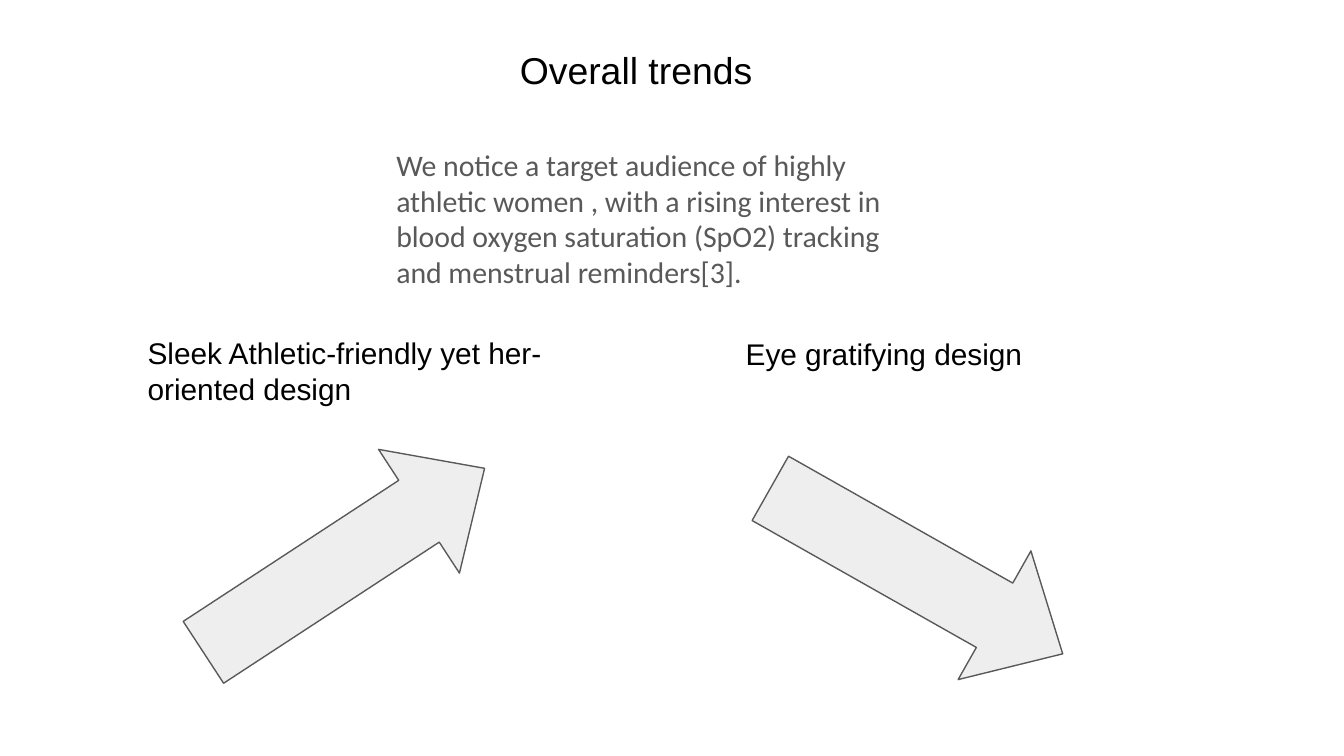
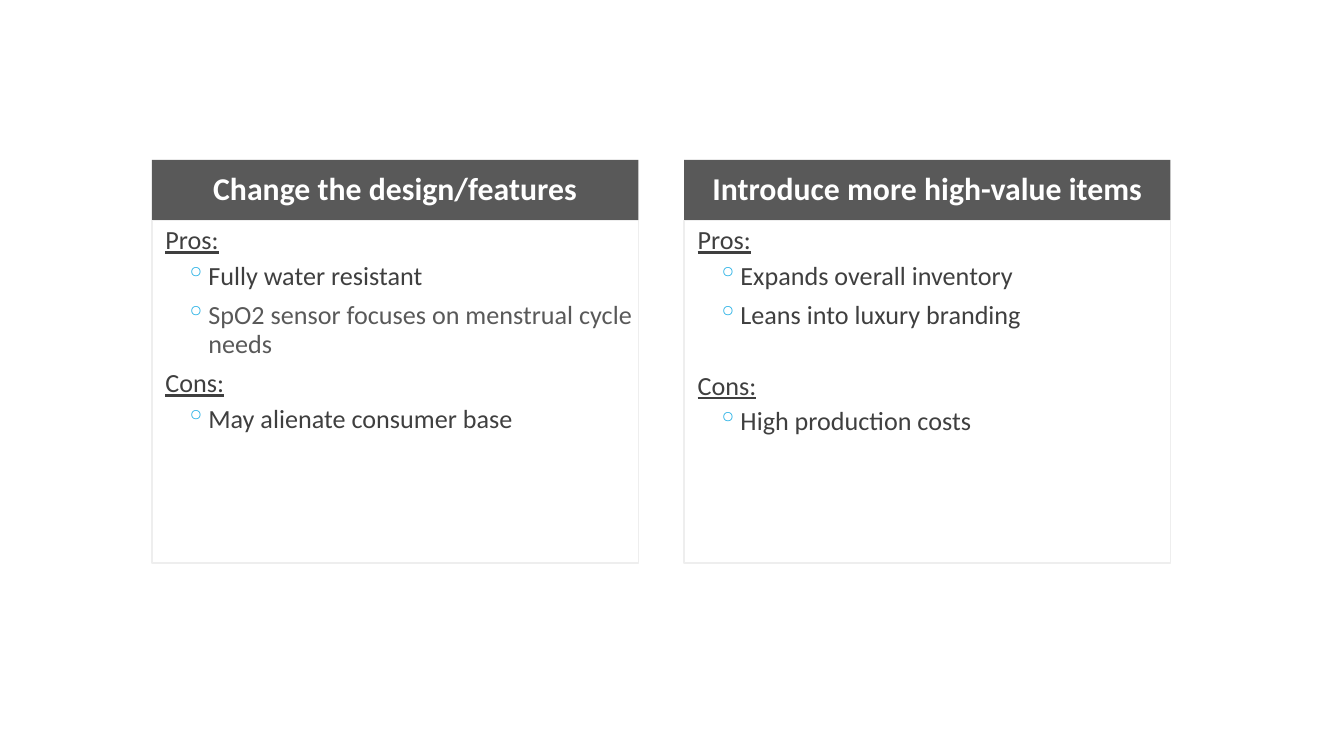
from lxml import etree
from pptx import Presentation
from pptx.dml.color import RGBColor
from pptx.enum.shapes import MSO_SHAPE
from pptx.enum.text import MSO_ANCHOR, PP_ALIGN
from pptx.oxml.ns import qn
from pptx.util import Pt

RECTANGLE = MSO_SHAPE.RECTANGLE
RIGHT_ARROW = MSO_SHAPE.RIGHT_ARROW
TOP, MIDDLE = MSO_ANCHOR.TOP, MSO_ANCHOR.MIDDLE
LEFT, CENTER = PP_ALIGN.LEFT, PP_ALIGN.CENTER

BLACK = RGBColor(0x00, 0x00, 0x00)
WHITE = RGBColor(0xFF, 0xFF, 0xFF)
GRAY = RGBColor(0x59, 0x59, 0x59)
DARK_GRAY = RGBColor(0x3F, 0x3F, 0x3F)
PALE_GRAY = RGBColor(0xEE, 0xEE, 0xEE)
BULLET_BLUE = RGBColor(0x1C, 0xAD, 0xE4)

HEADING_FONT = "Arial"
BODY_FONT = "Calibri"

# Cards of the comparison slide
CARD_LEFT, CARD_TOP, CARD_STEP = 81.4, 85.7, 285.1
CARD_WIDTH, HEADER_HEIGHT, BODY_HEIGHT = 260.6, 32.4, 183.6
HEADING_INDENT, BULLET_INDENT, BULLET_HANG = 7.2, 30.2, 12.2


def add_slide(presentation):
    slide = presentation.slides.add_slide(presentation.slide_layouts[6])
    slide.background.fill.solid()
    slide.background.fill.fore_color.rgb = WHITE
    return slide


def format_runs(paragraph, font, size, color, bold=False, underline=False):
    for run in paragraph.runs:
        run.font.name = font
        run.font.size = Pt(size)
        run.font.color.rgb = color
        run.font.bold = bold
        run.font.underline = underline


def set_frame(text_frame, side, vertical, anchor=TOP):
    text_frame.word_wrap = True
    text_frame.vertical_anchor = anchor
    text_frame.margin_left = text_frame.margin_right = Pt(side)
    text_frame.margin_top = text_frame.margin_bottom = Pt(vertical)


def add_text(slide, text, left, top, width, height, font, size, color):
    box = slide.shapes.add_textbox(Pt(left), Pt(top), Pt(width), Pt(height))
    set_frame(box.text_frame, 7.2, 7.2)
    box.text_frame.text = text
    format_runs(box.text_frame.paragraphs[0], font, size, color)


def add_shape(slide, kind, left, top, width, height, fill=None, line=None):
    shape = slide.shapes.add_shape(kind, Pt(left), Pt(top), Pt(width), Pt(height))
    shape.shadow.inherit = False
    if fill is None:
        shape.fill.background()
    else:
        shape.fill.solid()
        shape.fill.fore_color.rgb = fill
    if line is None:
        shape.line.fill.background()
    else:
        shape.line.color.rgb = line
        shape.line.width = Pt(0.75)
    return shape


def add_trend_arrow(slide, left, top, rotation):
    arrow = add_shape(slide, RIGHT_ARROW, left, top, 180, 79.2, PALE_GRAY, GRAY)
    arrow.adjustments[1] = 0.53
    arrow.rotation = rotation


def set_indent(paragraph, margin, hang=0):
    properties = paragraph._p.get_or_add_pPr()
    properties.set("marL", str(Pt(margin)))
    properties.set("indent", str(-Pt(hang)))
    return properties


def add_bullet(paragraph):
    paragraph.level = 1
    properties = set_indent(paragraph, BULLET_INDENT, BULLET_HANG)
    bullet_color = etree.SubElement(properties, qn("a:buClr"))
    etree.SubElement(bullet_color, qn("a:srgbClr"), val=str(BULLET_BLUE))
    etree.SubElement(properties, qn("a:buChar"), char="◦")


def add_card(slide, left, title, sections):
    # Header band
    header = add_shape(slide, RECTANGLE, left, CARD_TOP, CARD_WIDTH, HEADER_HEIGHT, GRAY)
    set_frame(header.text_frame, 7.2, 3.6, MIDDLE)
    header.text_frame.text = title
    paragraph = header.text_frame.paragraphs[0]
    paragraph.alignment = CENTER
    paragraph.line_spacing = 0.9
    format_runs(paragraph, BODY_FONT, 17, WHITE, bold=True)

    # Outlined body with headings and bullets
    body = add_shape(slide, RECTANGLE, left, CARD_TOP + HEADER_HEIGHT,
                     CARD_WIDTH, BODY_HEIGHT, line=PALE_GRAY)
    text_frame = body.text_frame
    set_frame(text_frame, 0, 3.6)
    lines = []
    for heading, space_before, items in sections:
        lines.append((heading, space_before, DARK_GRAY, True))
        for index, (item, color) in enumerate(items):
            lines.append((item, 6 if index else 4, color, False))
    text_frame.text = "\n".join(line[0] for line in lines)
    for paragraph, (_, space_before, color, is_heading) in zip(text_frame.paragraphs, lines):
        paragraph.alignment = LEFT
        paragraph.line_spacing = 0.9
        paragraph.space_before = Pt(space_before)
        if is_heading:
            set_indent(paragraph, HEADING_INDENT)
        else:
            add_bullet(paragraph)
        format_runs(paragraph, BODY_FONT, 14, color, underline=is_heading)


def build_trends(presentation):
    slide = add_slide(presentation)
    add_text(slide, "We notice a target audience of highly athletic women , with a rising "
             "interest in blood oxygen saturation (SpO2) tracking and menstrual reminders[3].",
             205.2, 71.3, 281.5, 92.2, BODY_FONT, 16, GRAY)
    add_trend_arrow(slide, 94.3, 260.6, 326.8)
    add_trend_arrow(slide, 401, 266.4, 29.5)
    add_text(slide, "Sleek Athletic-friendly yet her-oriented design",
             72, 172.1, 229.7, 53.3, HEADING_FONT, 16, BLACK)
    add_text(slide, "Eye gratifying design",
             392.4, 172.8, 193.7, 33.8, HEADING_FONT, 16, BLACK)
    add_text(slide, "Overall trends", 271.4, 18, 149, 38.9, HEADING_FONT, 20, BLACK)


def build_options(presentation):
    slide = add_slide(presentation)
    cards = [
        ("Change the design/features", [
            ("Pros:", 14, [("Fully water resistant", DARK_GRAY),
                           ("SpO2 sensor focuses on menstrual cycle needs", GRAY)]),
            ("Cons:", 6, [("May alienate consumer base", DARK_GRAY)]),
        ]),
        ("Introduce more high-value items", [
            ("Pros:", 14, [("Expands overall inventory", DARK_GRAY),
                           ("Leans into luxury branding", DARK_GRAY)]),
            ("Cons:", 22.5, [("High production costs", DARK_GRAY)]),
        ]),
    ]
    for index, (title, sections) in enumerate(cards):
        add_card(slide, CARD_LEFT + index * CARD_STEP, title, sections)


def main():
    presentation = Presentation()
    presentation.slide_width = Pt(720)
    presentation.slide_height = Pt(405)
    build_trends(presentation)
    build_options(presentation)
    presentation.save("out.pptx")


if __name__ == "__main__":
    main()
